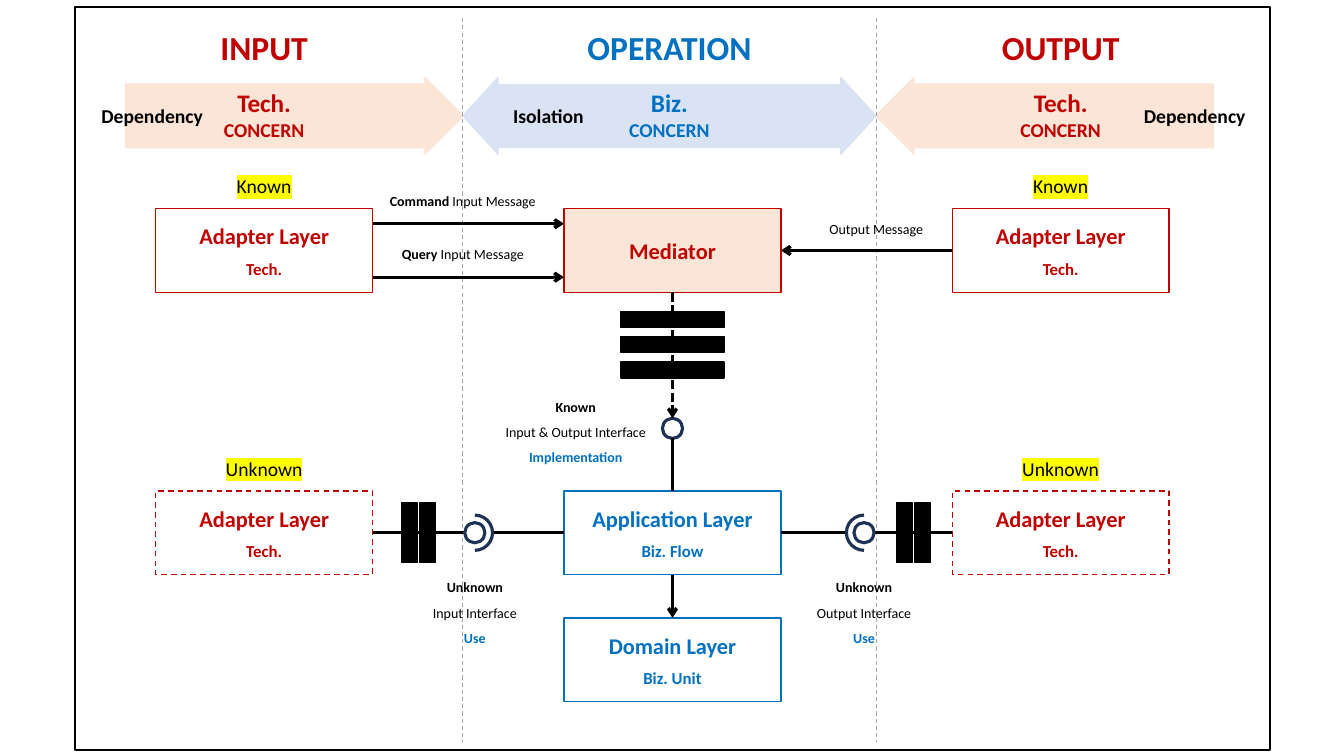
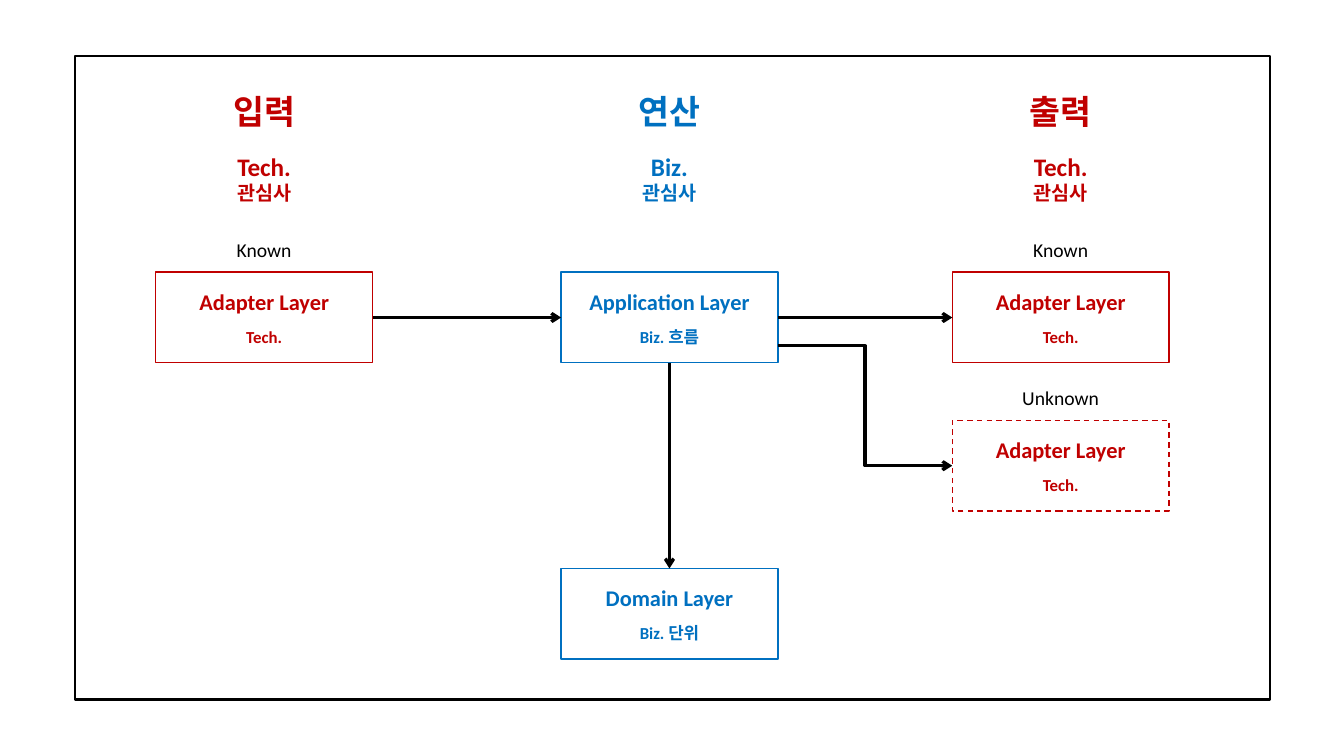
from dataclasses import dataclass
from typing import NamedTuple, Optional, Union

from pptx import Presentation
from pptx.dml.color import RGBColor
from pptx.enum.dml import MSO_LINE
from pptx.enum.shapes import MSO_CONNECTOR, MSO_SHAPE
from pptx.enum.text import MSO_ANCHOR, MSO_AUTO_SIZE, PP_ALIGN
from pptx.oxml.ns import qn
from pptx.shapes.autoshape import Shape
from pptx.shapes.connector import Connector
from pptx.slide import Slide
from pptx.text.text import TextFrame
from pptx.util import Inches, Pt
from lxml import etree

RECT, OVAL, ARC = MSO_SHAPE.RECTANGLE, MSO_SHAPE.OVAL, MSO_SHAPE.ARC
RIGHT_ARROW, LEFT_ARROW = MSO_SHAPE.RIGHT_ARROW, MSO_SHAPE.LEFT_ARROW
BOTH_ARROW = MSO_SHAPE.LEFT_RIGHT_ARROW
STRAIGHT, ELBOW = MSO_CONNECTOR.STRAIGHT, MSO_CONNECTOR.ELBOW
DASH, DOTS = MSO_LINE.DASH, MSO_LINE.SQUARE_DOT
CENTER, MIDDLE = PP_ALIGN.CENTER, MSO_ANCHOR.MIDDLE
GROW = MSO_AUTO_SIZE.SHAPE_TO_FIT_TEXT

FONT = "Calibri"
RED, BLUE, BLACK, WHITE = "C00000", "0070C0", "000000", "FFFFFF"
PEACH, SKY, NAVY, GREY, YELLOW = "FBE5D6", "DAE3F3", "1E3256", "A6A6A6", "FFFF00"

TOP, LEFT, BOTTOM, RIGHT = range(4)
COLS = (2.62, 6.64, 10.52)  # column centres
TINTS = (RED, BLUE, RED)
BOX_W = 2.15
RING, KNOB = 0.35, 0.2


class Point(NamedTuple):
    x: float
    y: float


class Joint(NamedTuple):
    shape: Shape
    side: int


End = Union[Point, Joint]


@dataclass
class Run:
    text: str
    size: float
    color: str = BLACK
    bold: bool = True
    mark: Optional[str] = None


@dataclass
class Layer:
    x: float
    y: float
    name: str
    sub: str
    color: str
    fill: Optional[str] = None
    dash: bool = False
    tag: str = ""


Row = list[Run]


def rgb(code: str) -> RGBColor:
    return RGBColor.from_string(code)


# Text
def write(frame: TextFrame, rows: list[Row], space: float = 1, gap: float = 0) -> None:
    for i, row in enumerate(rows):
        para = frame.paragraphs[0] if i == 0 else frame.add_paragraph()
        para.alignment = CENTER
        if space != 1:
            para.line_spacing = space
        if i and gap:
            para.space_before = Pt(gap)
        for item in row:
            run = para.add_run()
            run.text = item.text
            run.font.color.rgb = rgb(item.color)
            if item.mark:
                light = etree.SubElement(run.font._element, qn("a:highlight"))
                etree.SubElement(light, qn("a:srgbClr"), val=item.mark)
            form = {"name": FONT, "size": Pt(item.size), "bold": item.bold}
            for key, val in form.items():
                setattr(run.font, key, val)


def label(slide: Slide, x: float, top: float, wide: float, rows: list[Row],
          space: float = 1) -> None:
    """Text centred on x."""
    high = sum(row[0].size for row in rows) * 1.2 * space / 72 + 0.1
    box = slide.shapes.add_textbox(
        Inches(x - wide / 2), Inches(top), Inches(wide), Inches(high))
    box.text_frame.word_wrap = False
    box.text_frame.auto_size = GROW
    write(box.text_frame, rows, space)


# Shapes and lines
def draw(slide: Slide, kind: int, x: float, y: float, wide: float, high: float,
         fill: Optional[str] = None, line: str = BLACK, weight: float = 1,
         dash: bool = False, adjust: tuple[float, ...] = ()) -> Shape:
    """Preset shape centred on x, y."""
    shape = slide.shapes.add_shape(
        kind, Inches(x - wide / 2), Inches(y - high / 2), Inches(wide), Inches(high))
    shape.shadow.inherit = False
    for i, val in enumerate(adjust):
        shape.adjustments[i] = val
    if fill:
        shape.fill.solid()
        shape.fill.fore_color.rgb = rgb(fill)
    else:
        shape.fill.background()
    shape.line.color.rgb = rgb(line)
    shape.line.width = Pt(weight)
    if dash:
        shape.line.dash_style = DASH
    return shape


def link(slide: Slide, start: End, end: End, head: bool = False,
         color: str = BLACK, weight: float = 2.25,
         dash: Optional[int] = None, kind: int = STRAIGHT) -> Connector:
    spots = [Inches(v) for e in (start, end)
             for v in (e if isinstance(e, Point) else (0, 0))]
    line = slide.shapes.add_connector(kind, *spots)
    if isinstance(start, Joint):
        line.begin_connect(*start)
    if isinstance(end, Joint):
        line.end_connect(*end)
    line.line.color.rgb = rgb(color)
    line.line.width = Pt(weight)
    if dash is not None:
        line.line.dash_style = dash
    props = line._element.spPr
    if head:
        etree.SubElement(props.find(qn("a:ln")), qn("a:tailEnd"), type="arrow")
    etree.SubElement(props, qn("a:effectLst"))
    return line


# Parts both slides share
def frame(slide: Slide, top: float, high: float) -> None:
    draw(slide, RECT, 6.67, top + high / 2, 11.85, high, weight=1.5)


def heads(slide: Slide, top: float, names: tuple[str, ...], topic: str) -> None:
    for x, tint, name in zip(COLS, TINTS, names):
        kind = "Biz." if tint == BLUE else "Tech."
        label(slide, x, top, 2.2, [[Run(name, 24, tint)]])
        label(slide, x, top + 0.6, 1.2, [[Run(kind, 18, tint)], [Run(topic, 14, tint)]])


def stack(slide: Slide, layer: Layer, high: float, gap: float,
          mark: Optional[str] = None) -> Shape:
    box = draw(slide, RECT, layer.x, layer.y + high / 2, BOX_W, high,
               layer.fill, layer.color, dash=layer.dash)
    rows = [[Run(layer.name, 16, layer.color)]]
    if layer.sub:
        rows.append([Run(layer.sub, 12, layer.color)])
    box.text_frame.vertical_anchor = MIDDLE
    write(box.text_frame, rows, gap=gap)
    if layer.tag:
        label(slide, layer.x, layer.y - 0.39, 1.1,
              [[Run(layer.tag, 14, bold=False, mark=mark)]])
    return box


def adapter(x: float, y: float, known: bool, fill: Optional[str] = None) -> Layer:
    return Layer(x, y, "Adapter Layer", "Tech.", RED, fill, not known,
                 "Known" if known else "Unknown")


# Slide 1
def ports(slide: Slide) -> None:
    frame(slide, 0.07, 7.37)
    for x, wide, kind, fill, adjust in (
            (2.92, 3.35, RIGHT_ARROW, PEACH, (0.83, 0.5)),
            (6.64, 4.1, BOTH_ARROW, SKY, (0.82, 0.46)),
            (10.36, 3.35, LEFT_ARROW, PEACH, (0.83, 0.5))):
        draw(slide, kind, x, 1.15, wide, 0.76, fill, fill, adjust=adjust)
    heads(slide, 0.22, ("INPUT", "OPERATION", "OUTPUT"), "CONCERN")
    for x, word in ((1.51, "Dependency"), (5.44, "Isolation"), (11.85, "Dependency")):
        label(slide, x, 0.98, 1.4, [[Run(word, 14)]])
    for x in (4.59, 8.69):
        link(slide, Point(x, 0.18), Point(x, 7.36), color=GREY, weight=0.75, dash=DASH)

    # Layers
    left, mid, right = COLS[0], 6.67, COLS[2]
    high, near, low = 0.83, 2.07, 4.87
    _, sink, asker, giver, hub, app, core = [
        stack(slide, layer, high, 6.5, YELLOW) for layer in (
            adapter(left, near, True),
            adapter(right, near, True),
            adapter(left, low, False, WHITE),
            adapter(right, low, False, WHITE),
            Layer(mid, near, "Mediator", "", RED, PEACH),
            Layer(mid, low, "Application Layer", "Biz. Flow", BLUE, WHITE),
            Layer(mid, 6.13, "Domain Layer", "Biz. Unit", BLUE, WHITE))]

    # Messages
    for y, word in ((2.22, "Command"), (2.75, "Query")):
        link(slide, Point(left + BOX_W / 2, y), Point(mid - BOX_W / 2, y), True)
        label(slide, 4.59, y - 0.36, 1.8,
              [[Run(word, 10), Run(" Input Message", 10, bold=False)]])
    link(slide, Joint(sink, LEFT), Joint(hub, RIGHT), True)
    label(slide, 8.69, 2.14, 1.3, [[Run("Output Message", 10, bold=False)]])

    # Known interface
    knob = draw(slide, OVAL, mid, 4.25, KNOB, KNOB, WHITE, NAVY, 2.25)
    link(slide, Joint(hub, BOTTOM), Joint(knob, TOP), True, dash=DOTS)
    link(slide, Joint(app, TOP), Point(mid, 4.35))
    link(slide, Joint(app, BOTTOM), Joint(core, TOP), True)
    for i in range(3):
        draw(slide, RECT, mid, 3.17 + 0.25 * i, 1.02, 0.16, BLACK)

    # Unknown interfaces: way is +1 where the socket opens to the left
    row = low + high / 2
    for x, way, box, wall, arc in ((4.71, 1, asker, 4.15, (162, 54)),
                                   (8.57, -1, giver, 9.06, (54, 162))):
        near_side, far_side = (RIGHT, LEFT) if way > 0 else (LEFT, RIGHT)
        link(slide, Joint(box, near_side), Point(x - way * KNOB / 2, row))
        link(slide, Joint(app, far_side), Point(x + way * RING / 2, row))
        draw(slide, ARC, x, row, RING, RING, None, NAVY, 2.25, adjust=arc)
        draw(slide, OVAL, x, row, KNOB, KNOB, None, NAVY, 2.25)
        for shift in (-0.09, 0.09):
            draw(slide, RECT, wall + shift, row, 0.16, 0.59, BLACK)

    # Interface notes
    for x, top, state, what, role in (
            (5.71, 3.82, "Known", "Input & Output Interface", "Implementation"),
            (4.71, 5.61, "Unknown", "Input Interface", "Use"),
            (8.57, 5.61, "Unknown", "Output Interface", "Use")):
        label(slide, x, top, 1.8, [[Run(state, 10)], [Run(what, 10, bold=False)],
                                   [Run(role, 10, BLUE)]], 1.5)


# Slide 2
def flow(slide: Slide) -> None:
    frame(slide, 0.56, 6.38)
    heads(slide, 0.85, ("입력", "연산", "출력"), "관심사")
    left, mid, right = COLS
    source, sink, other, app, core = [
        stack(slide, layer, 0.9, 8.5) for layer in (
            adapter(left, 2.7, True),
            adapter(right, 2.7, True),
            adapter(right, 4.17, False),
            Layer(mid, 2.7, "Application Layer", "Biz. 흐름", BLUE),
            Layer(mid, 5.64, "Domain Layer", "Biz. 단위", BLUE))]
    link(slide, Joint(source, RIGHT), Joint(app, LEFT), True)
    link(slide, Joint(app, RIGHT), Joint(sink, LEFT), True)
    link(slide, Joint(app, BOTTOM), Joint(core, TOP), True)
    link(slide, Point(mid + BOX_W / 2, 3.43), Joint(other, LEFT), True, kind=ELBOW)


def main() -> None:
    deck = Presentation()
    deck.slide_width, deck.slide_height = Inches(13.33), Inches(7.5)
    for build in (ports, flow):
        build(deck.slides.add_slide(deck.slide_layouts[6]))
    deck.save("out.pptx")


if __name__ == "__main__":
    main()
